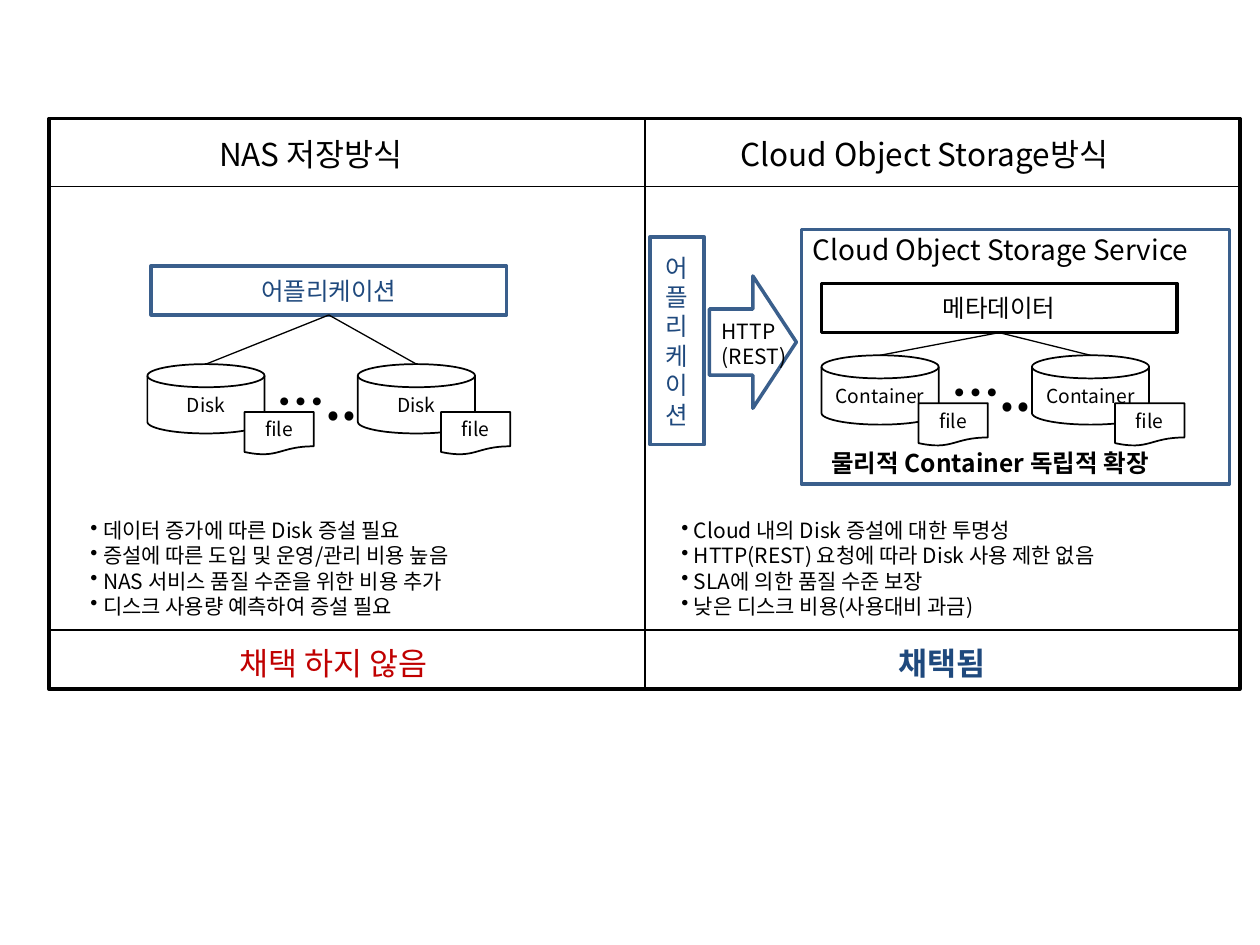
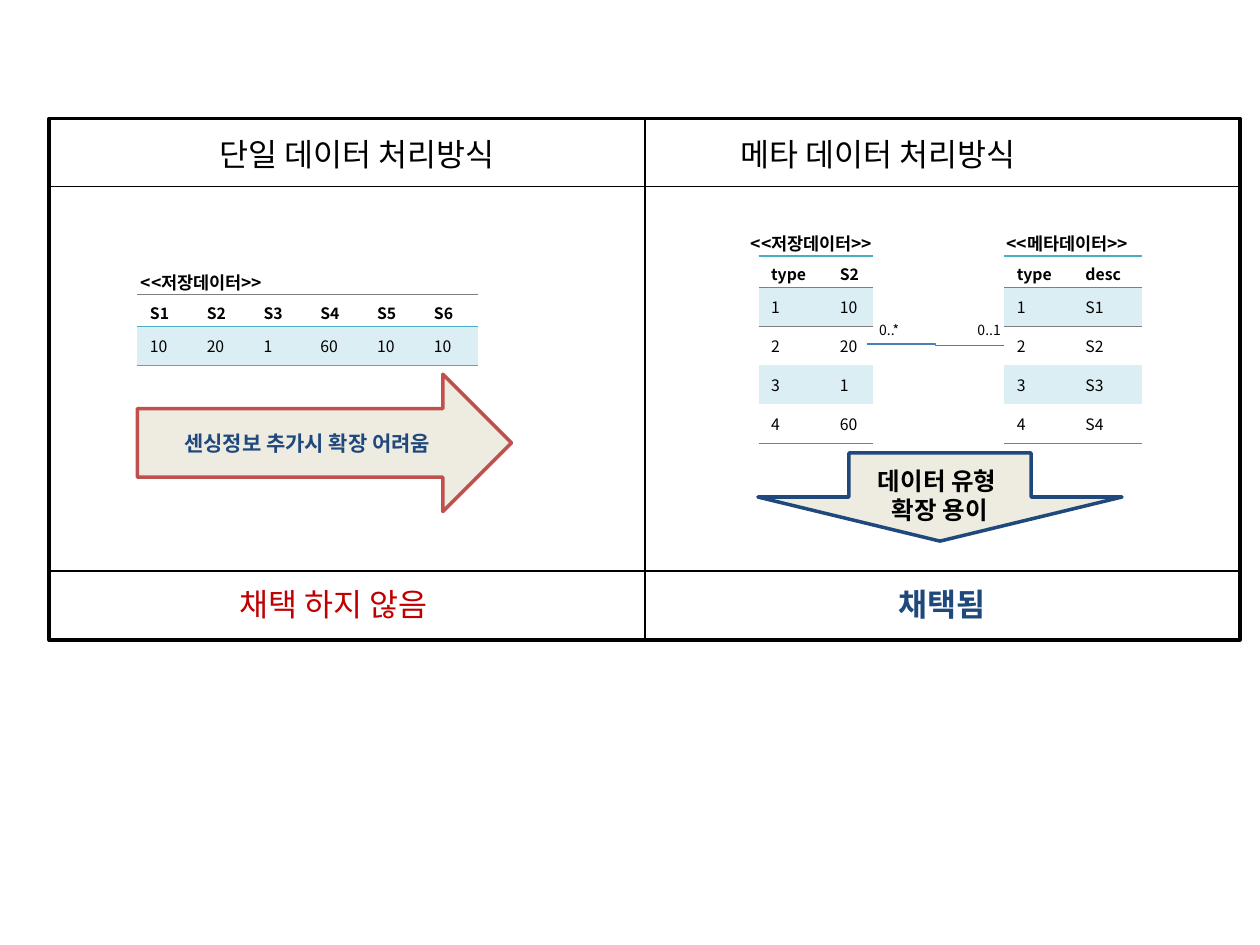
from lxml import etree
from pptx import Presentation
from pptx import util as u
from pptx.dml.color import RGBColor
from pptx.enum import shapes, text
from pptx.oxml import ns

FONT = "Noto Sans CJK KR"
COLORS = {
    "ink": "000000", "paper": "FFFFFF", "navy": "1F497D", "steel": "3A5F8C",
    "rejected": "C00000", "brick": "C0504D", "sand": "EEECE1",
    "teal": "4BACC6", "band": "DBEEF4", "rule": "7F7F7F", "link": "4B7EBC",
}
RGB = {name: RGBColor.from_string(value) for name, value in COLORS.items()}
SHAPE, LINK = shapes.MSO_SHAPE, shapes.MSO_CONNECTOR
CENTER, MIDDLE = text.PP_ALIGN.CENTER, text.MSO_ANCHOR.MIDDLE

prs = Presentation()
prs.slide_width, prs.slide_height = u.Inches(10), u.Inches(7.5)
CELL = prs.slide_width // 100  # the slide is a grid of 100 columns by 75 rows


def add(slide, at, lines=(), size=12, color="ink", bold=False, kind=None,
        fill=None, line="ink", width=1, centered=False, bullet=False):
    """Add a preset shape, or a text box when kind is None; at is in grid cells."""
    spot = [round(v * CELL) for v in at]
    if kind is None:
        item = slide.shapes.add_textbox(*spot)
    else:
        item = slide.shapes.add_shape(kind, *spot)
        item.shadow.inherit = False
        item.line.color.rgb, item.line.width = RGB[line], u.Pt(width)
        if fill:
            item.fill.solid()
            item.fill.fore_color.rgb = RGB[fill]
        else:
            item.fill.background()
        item.text_frame.vertical_anchor = MIDDLE
    frame = item.text_frame
    frame.word_wrap = True
    for i, words in enumerate(lines):
        p = frame.add_paragraph() if i else frame.paragraphs[0]
        p.text = words
        p.alignment = CENTER if centered or kind else text.PP_ALIGN.LEFT
        p.font.size, p.font.bold, p.font.name = u.Pt(size), bold, FONT
        p.font.color.rgb = RGB[color]
        props = p._p.get_or_add_pPr()
        etree.SubElement(props.get_or_add_defRPr(), ns.qn("a:ea"), typeface=FONT)
        if bullet:
            props.set("marL", str(CELL))
            props.set("indent", str(-CELL))
            mark = etree.Element(ns.qn("a:buChar"), char="•")
            props.insert(0, mark)
    return item


def connect(slide, start, end, width=1.0, color="ink", kind=LINK.STRAIGHT):
    item = slide.shapes.add_connector(kind, *[round(v * CELL) for v in (*start, *end)])
    item.line.color.rgb, item.line.width = RGB[color], u.Pt(width)
    etree.SubElement(item._element.spPr, ns.qn("a:effectLst"))


# Comparison frame shared by both slides: headings, two halves, verdicts
LEFT, MID, RIGHT, TOP, HEAD = 3.9, 51.2, 98.4, 9.4, 14.8
pages = []
for headings, verdict_top, bottom in [
    (("NAS 저장방식", "Cloud Object Storage방식"), 50, 54.7),
    (("단일 데이터 처리방식", "메타 데이터 처리방식"), 45.3, 50.8),
]:
    page = prs.slides.add_slide(prs.slide_layouts[6])
    pages.append(page)
    add(page, (LEFT, TOP, RIGHT - LEFT, bottom - TOP), kind=SHAPE.RECTANGLE, width=2)
    connect(page, (MID, TOP), (MID, bottom))
    for row in (HEAD, verdict_top):
        connect(page, (LEFT, row), (RIGHT, row))
    for column, heading in zip((16.4, 57.8), headings):
        add(page, (column, 10.2, 35.2, 4), [heading], 18)
    verdict_text = verdict_top + 0.65
    add(page, (18, verdict_text, 19.5, 4), ["채택 하지 않음"], 18, "rejected")
    add(page, (70.3, verdict_text, 10.9, 4), ["채택됨"], 18, "navy", True)
storage, metadata = pages

# Slide 1: application, storage units and their files
add(storage, (63.6, 18.2, 34, 20.2), kind=SHAPE.RECTANGLE, line="steel", width=2)
add(storage, (63.5, 18, 38.1, 3.7), ["Cloud Object Storage Service"], 16)
add(storage, (51.6, 18.8, 4.3, 16.5), ["어플리케이션"], 14, "navy",
    kind=SHAPE.RECTANGLE, line="steel", width=2)
add(storage, (56.3, 21.9, 6.9, 10.5), kind=SHAPE.RIGHT_ARROW, line="steel", width=2)
add(storage, (56.3, 24.8, 16.4, 5), ["HTTP\v(REST)"])
add(storage, (65, 35.1, 29.5, 3.4), ["물리적 Container 독립적 확장"], 14, bold=True)

BAR_W, BAR_H, UNIT_W, UNIT_H = 28.2, 3.9, 9.3, 5.5
for source, bar_x, bar_y, bar_color, bar_line, unit, x, y in [
    ("어플리케이션", 12, 21.1, "navy", "steel", "Disk", 11.7, 28.9),
    ("메타데이터", 65.2, 22.5, "ink", "ink", "Container", 65.2, 28.2),
]:
    add(storage, (bar_x, bar_y, BAR_W, BAR_H), [source], 14, bar_color,
        kind=SHAPE.RECTANGLE, line=bar_line, width=2)
    for unit_x in (x, x + 16.7):
        add(storage, (unit_x, y, UNIT_W, UNIT_H), [unit], 11,
            kind=SHAPE.FLOWCHART_MAGNETIC_DISK, fill="paper")
        connect(storage, (bar_x + BAR_W / 2, bar_y + BAR_H), (unit_x + UNIT_W / 2, y), 0.75)
    add(storage, (x + UNIT_W, y + 0.1, 10.4, 5.7), ["….."], 28, bold=True)
    for file_x in (x + 7.7, x + 23.3):
        add(storage, (file_x, y + 3.8, 5.5, 3.4), ["file"], 11,
            kind=SHAPE.FLOWCHART_DOCUMENT, fill="paper")

for column, points in [
    (6.2, ["데이터 증가에 따른 Disk 증설 필요", "증설에 따른 도입 및 운영/관리 비용 높음",
           "NAS 서비스 품질 수준을 위한 비용 추가", "디스크 사용량 예측하여 증설 필요"]),
    (53.1, ["Cloud 내의 Disk 증설에 대한 투명성", "HTTP(REST) 요청에 따라 Disk 사용 제한 없음",
            "SLA에 의한 품질 수준 보장", "낮은 디스크 비용(사용대비 과금)"]),
]:
    add(storage, (column, 40.6, 41.4, 9.1), points, bullet=True)

# Slide 2: record tables; rules are those above, below the header and at the end
HEADER_H, RECORD_H = 2.5, 3.1
for caption, caption_at, x, y, widths, rules, records in [
    ("<<저장데이터>>", (10.2, 21.1), 10.9, 23.4, [4.51] * 6, ("rule", "teal", "teal"),
     ["S1 S2 S3 S4 S5 S6", "10 20 1 60 10 10"]),
    ("<<저장데이터>>", (58.6, 18), 60.2, 20.3, [5.45, 3.6], ("teal", "rule", "rule"),
     ["type S2", "1 10", "2 20", "3 1", "4 60"]),
    ("<<메타데이터>>", (78.9, 18), 79.7, 20.3, [5.45, 5.45], ("teal", "rule", "rule"),
     ["type desc", "1 S1", "2 S2", "3 S3", "4 S4"]),
]:
    add(metadata, (*caption_at, 14.1, 2.7), [caption], 10, bold=True)
    height = HEADER_H + RECORD_H * (len(records) - 1)
    spot = [round(v * CELL) for v in (x, y, sum(widths), height)]
    grid = metadata.shapes.add_table(len(records), len(widths), *spot).table
    grid.first_row = grid.horz_banding = False
    # "No Style, No Grid"
    grid._tbl.tblPr.find(ns.qn("a:tableStyleId")).text = "{2D5ABB26-0587-4C30-8999-92F81FD0307C}"
    for column, width in zip(grid.columns, widths):
        column.width = round(width * CELL)
    for r, record in enumerate(records):
        grid.rows[r].height = round((RECORD_H if r else HEADER_H) * CELL)
        edges = {"a:lnT": rules[0], "a:lnB": rules[1]} if r == 0 else {}
        if r == 1:
            edges["a:lnT"] = rules[1]
        if r == len(records) - 1:
            edges["a:lnB"] = rules[2]
        for c, value in enumerate(record.split()):
            cell = grid.cell(r, c)
            cell.vertical_anchor = MIDDLE
            cell.margin_top = cell.margin_bottom = u.Inches(0.05)
            cell.text = value
            font = cell.text_frame.paragraphs[0].font
            font.size, font.bold, font.name = u.Pt(9), r == 0, FONT
            font.color.rgb = RGB["ink"]
            props = cell._tc.get_or_add_tcPr()
            for side, color in edges.items():
                thickness = u.Pt(1 if color == "teal" else 0.5)
                edge = etree.SubElement(props, ns.qn(side), w=str(thickness))
                paint = etree.SubElement(edge, ns.qn("a:solidFill"))
                etree.SubElement(paint, ns.qn("a:srgbClr"), val=COLORS[color])
            if r % 2:
                cell.fill.solid()
                cell.fill.fore_color.rgb = RGB["band"]
            else:
                cell.fill.background()

connect(metadata, (68.8, 27.3), (79.7, 27.4), 0.75, "link", LINK.ELBOW)
for column, multiplicity in ((68.8, "0..*"), (76.6, "0..1")):
    add(metadata, (column, 25, 6, 2.4), [multiplicity], 8)

add(metadata, (10.9, 29.7, 29.7, 10.9), ["센싱정보 추가시 확장 어려움"], 12, "navy", True,
    kind=SHAPE.RIGHT_ARROW, fill="sand", line="brick", width=2)
extension = add(metadata, (71.1, 25, 7, 28.9), kind=SHAPE.RIGHT_ARROW,
                fill="sand", line="navy", width=2)
extension.rotation = 90
add(metadata, (66.4, 36.5, 16.4, 5.7), ["데이터 유형 \v확장 용이"], 14, bold=True, centered=True)

prs.save("out.pptx")
